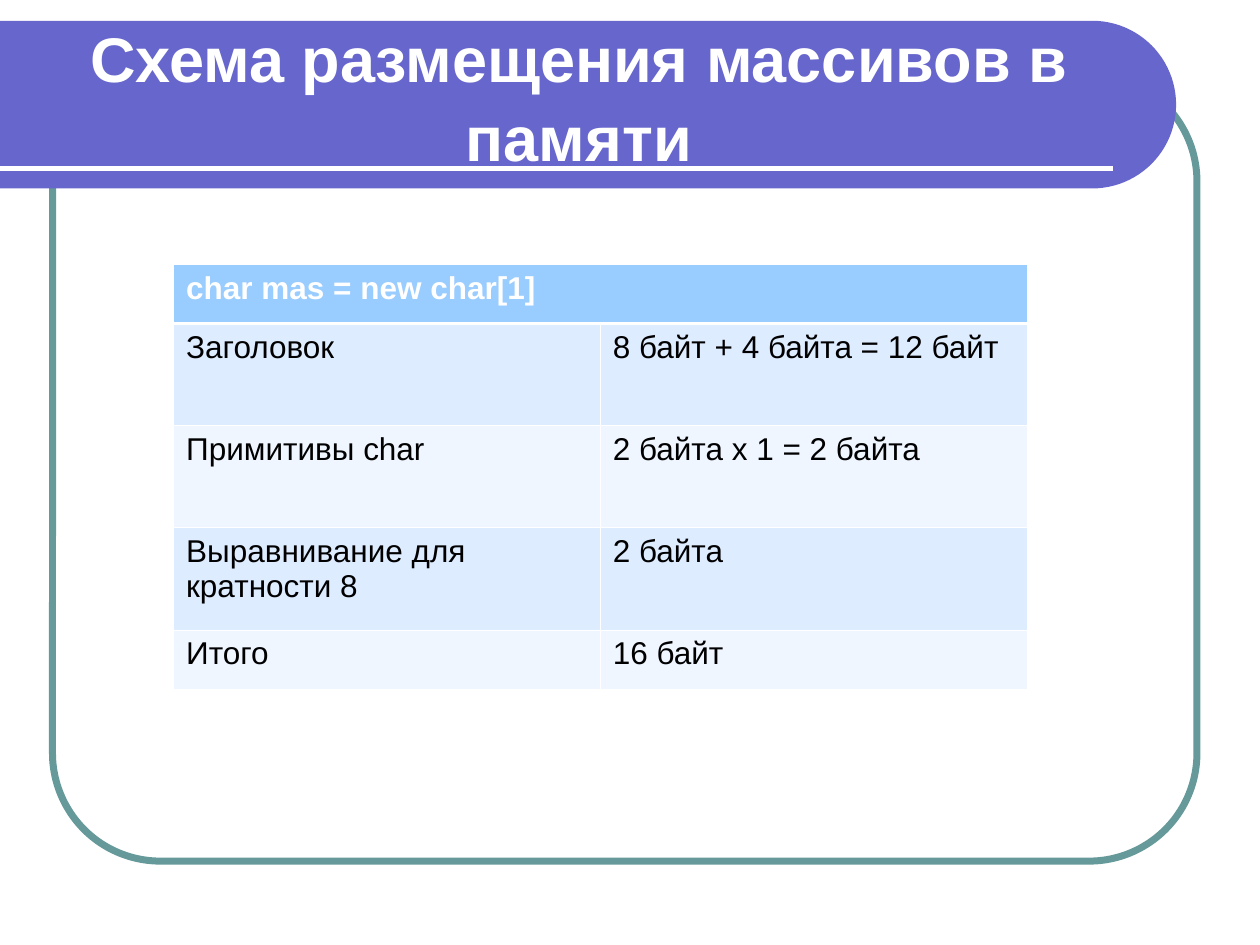
from math import cos, pi, sin

from lxml.etree import SubElement
from pptx import Presentation
from pptx.dml.color import RGBColor
from pptx.enum.shapes import MSO_CONNECTOR as Link, MSO_SHAPE as Preset
from pptx.enum.text import MSO_ANCHOR as Anchor, PP_ALIGN as Align
from pptx.oxml.ns import qn
from pptx.util import Cm, Pt


def color(value):
    return RGBColor.from_string(value)


def write(frame, text, size=18, fill="000000", bold=False, align=Align.LEFT, spacing=1.0):
    frame.word_wrap = True
    line = frame.paragraphs[0]
    line.alignment = align
    line.line_spacing = spacing
    run = line.add_run()
    run.text = text
    run.font.name = "Arial"
    run.font.size = Pt(size)
    run.font.bold = bold
    run.font.color.rgb = color(fill)


prs = Presentation()
prs.slide_width, prs.slide_height = Cm(25.4), Cm(19.05)
slide = prs.slides.add_slide(prs.slide_layouts[6])
shapes = slide.shapes

# Rounded frame
frame = shapes.add_shape(Preset.ROUNDED_RECTANGLE, Cm(1.06), Cm(1.48), Cm(23.07), Cm(15.88))
frame.adjustments[0] = 0.137
frame.shadow.inherit = False
frame.fill.background()
frame.line.color.rgb = color("669999")
frame.line.width = Pt(4)

# Banner with a half-round right end
top, radius, center_x = 0.42, 1.69, 22.02
steps = 48
arc = [(center_x + radius * sin(pi * i / steps), top + radius - radius * cos(pi * i / steps))
       for i in range(steps + 1)]
outline = shapes.build_freeform(Cm(0), Cm(top))
outline.add_line_segments([(Cm(x), Cm(y)) for x, y in arc + [(0, top + 2 * radius)]], close=True)
banner = outline.convert_to_shape()
banner.shadow.inherit = False
banner.fill.solid()
banner.fill.fore_color.rgb = color("6666CC")
banner.line.fill.background()

# Rule under the title
rule = shapes.add_connector(Link.STRAIGHT, Cm(0), Cm(3.39), Cm(22.44), Cm(3.39))
rule.line.color.rgb = color("FFFFFF")
rule.line.width = Pt(3)
SubElement(rule._element.spPr, qn("a:effectLst"))

# Title
title = shapes.add_textbox(Cm(0.53), Cm(0.64), Cm(22.28), Cm(2.54)).text_frame
title.vertical_anchor = Anchor.MIDDLE
write(title, "Схема размещения массивов в памяти", size=36, fill="FFFFFF", bold=True,
      align=Align.CENTER, spacing=1.05)

# Memory table
rows = [
    ("char mas = new char[1]", ""),
    ("Заголовок", "8 байт + 4 байта = 12 байт"),
    ("Примитивы char", "2 байта х 1 = 2 байта"),
    ("Выравнивание для кратности 8", "2 байта"),
    ("Итого", "16 байт"),
]
heights = [1.19, 2.06, 2.06, 2.06, 1.19]
memory = shapes.add_table(len(rows), 2, Cm(3.5), Cm(5.33), Cm(17.2), Cm(sum(heights))).table
for column in memory.columns:
    column.width = Cm(8.6)
memory.cell(0, 0).merge(memory.cell(0, 1))

for r, (texts, height) in enumerate(zip(rows, heights)):
    memory.rows[r].height = Cm(height)
    header = r == 0
    for c, text in enumerate(texts):
        cell = memory.cell(r, c)
        # White borders, thicker below the header
        for side in ("L", "R", "T", "B"):
            thick = (r, side) in ((0, "B"), (1, "T"))
            border = SubElement(cell._tc.get_or_add_tcPr(), qn(f"a:ln{side}"),
                                w=str(Pt(1.47 if thick else 0.45)))
            SubElement(SubElement(border, qn("a:solidFill")), qn("a:srgbClr"), val="FFFFFF")
        cell.fill.solid()
        cell.fill.fore_color.rgb = color("99CCFF" if header else "DEECFF" if r % 2 else "EFF6FF")
        if text:
            write(cell.text_frame, text, fill="FFFFFF" if header else "000000", bold=header)

prs.save("out.pptx")
